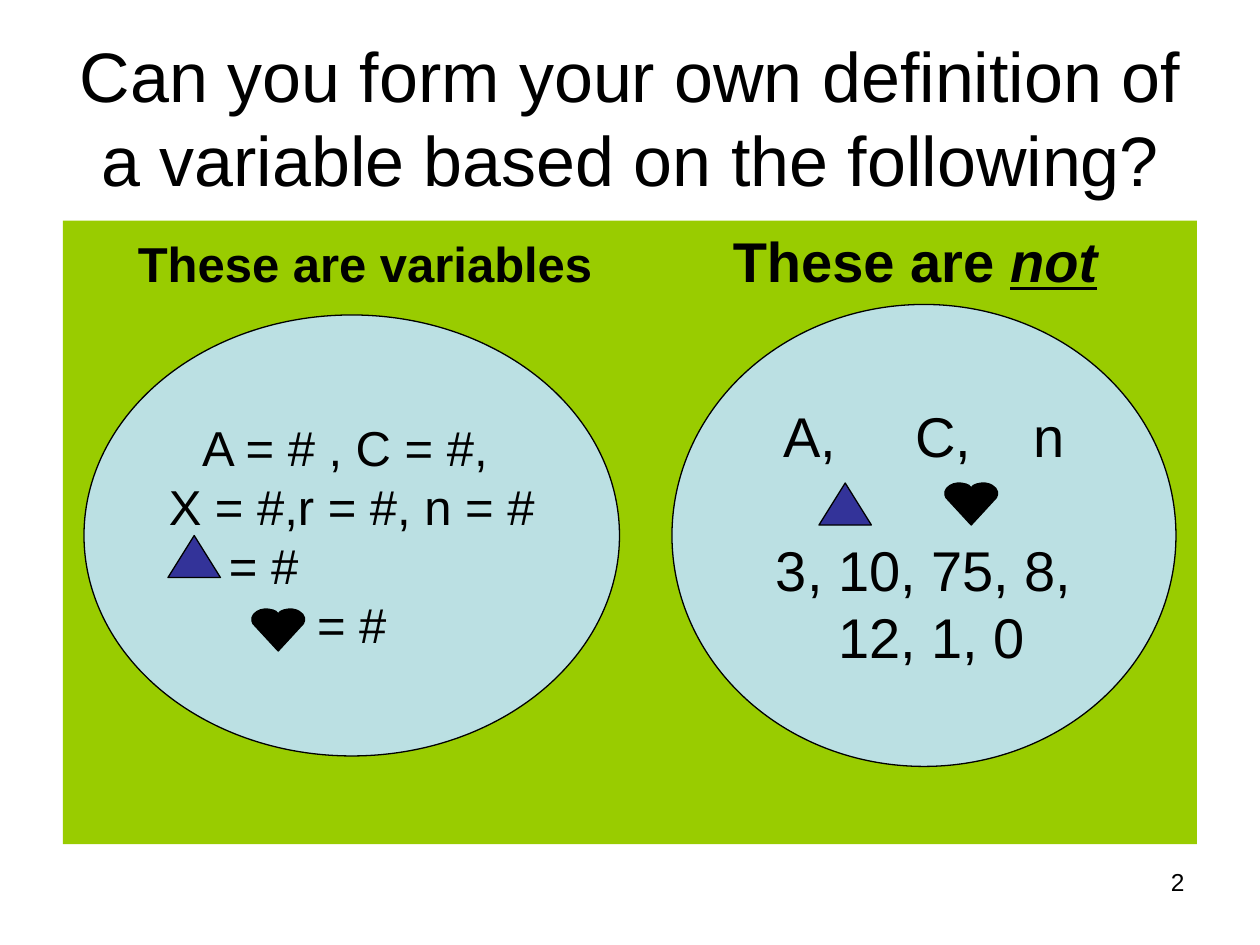
from lxml.etree import SubElement
from pptx import Presentation
from pptx.dml.color import RGBColor
from pptx.enum.shapes import MSO_SHAPE
from pptx.enum.text import MSO_ANCHOR, MSO_AUTO_SIZE, PP_ALIGN
from pptx.oxml.ns import qn
from pptx.util import Pt


def color(text):
    return RGBColor.from_string(text)


class Sheet:
    """Hold the style and the current slide, and add its elements."""

    font, ink, green, pale, blue = "Arial", "000000", "99CC00", "BBE0E3", "333399"

    def __init__(self, slide):
        self.slide = slide
        self.shapes = slide.shapes

    def paint(self, shape, fill, line=True):
        shape.shadow.inherit = False
        shape.fill.solid()
        shape.fill.fore_color.rgb = color(fill)
        if line:
            shape.line.color.rgb = color(self.ink)
            shape.line.width = Pt(0.75)
        else:
            shape.line.fill.background()

    def frame(self, shape, anchor, side=7.2):
        frame = shape.text_frame
        frame.word_wrap = True
        frame.auto_size = MSO_AUTO_SIZE.NONE
        frame.vertical_anchor = anchor
        frame.margin_left = frame.margin_right = Pt(side)
        frame.margin_top = frame.margin_bottom = Pt(3.6)
        return frame

    def format(self, para, size, align=PP_ALIGN.CENTER, tabs=()):
        para.alignment = align
        para.line_spacing = Pt(1.2 * size)
        if tabs:
            stops = SubElement(para._p.get_or_add_pPr(), qn("a:tabLst"))
            for stop in tabs:
                SubElement(stops, qn("a:tab"), pos=str(Pt(stop)), algn="l")
        for run in para.runs:
            self.style(run, size)

    def style(self, run, size, bold=False):
        run.font.name = self.font
        run.font.size = Pt(size)
        run.font.bold = bold
        run.font.color.rgb = color(self.ink)

    def title(self, text, x, y, w, h):
        shape = self.shapes.title
        shape.left, shape.top, shape.width, shape.height = map(Pt, (x, y, w, h))
        frame = self.frame(shape, MSO_ANCHOR.MIDDLE)
        frame.text = text
        self.format(frame.paragraphs[0], 40)

    def shape(self, kind, fill, x, y, w, h, line=True):
        shape = self.shapes.add_shape(kind, Pt(x), Pt(y), Pt(w), Pt(h))
        self.paint(shape, fill, line)
        return shape

    def panel(self, x, y, w, h):
        shape = self.shape(MSO_SHAPE.RECTANGLE, self.green, x, y, w, h, False)
        frame = self.frame(shape, MSO_ANCHOR.TOP)
        frame.margin_left = Pt(42.8)
        para = frame.paragraphs[0]
        heads = (("These are variables", 28), ("\tThese are ", 32), ("not", 32))
        for text, _ in heads:
            para.add_run().text = text
        self.format(para, 32, PP_ALIGN.LEFT, [340])
        for run, (_, size) in zip(para.runs, heads):
            self.style(run, size, True)
        run.font.italic = run.font.underline = True

    def oval(self, lines, size, x, y, w, h):
        shape = self.shape(MSO_SHAPE.OVAL, self.pale, x, y, w, h)
        frame = self.frame(shape, MSO_ANCHOR.MIDDLE, 0)
        frame.text = "\n".join(lines)
        for para in frame.paragraphs:
            self.format(para, size)
        return frame.paragraphs

    def marks(self, left, right):
        self.shape(MSO_SHAPE.ISOSCELES_TRIANGLE, self.blue, *left, 30, 24)
        self.heart(*right)

    def heart(self, x, y):
        half = [(15, 2.8), (13.8, 1.4), (12, 0.6), (9.6, 0.1), (7.2, 0), (4.8, 0.5),
                (2.9, 1.4), (1, 3), (0, 5), (0, 6.8), (0.6, 8.4), (15, 24)]
        outline = half + [(30 - a, b) for a, b in half[-2:0:-1]]
        points = [(Pt(x + a), Pt(y + b)) for a, b in outline]
        pen = self.shapes.build_freeform(*points[0])
        pen.add_line_segments(points[1:], close=True)
        self.paint(pen.convert_to_shape(), self.ink)

    def number(self, text, x, y, w, h):
        box = self.shapes.add_textbox(Pt(x), Pt(y), Pt(w), Pt(h))
        frame = self.frame(box, MSO_ANCHOR.TOP)
        frame.text = text
        self.format(frame.paragraphs[0], 14, PP_ALIGN.RIGHT)


def main():
    deck = Presentation()
    deck.slide_width, deck.slide_height = Pt(720), Pt(540)
    sheet = Sheet(deck.slides.add_slide(deck.slide_layouts[5]))
    sheet.title("Can you form your own definition of a variable based on the following?",
                36, 21.6, 648, 90)
    sheet.panel(36, 126, 648, 356.4)

    lines = ["A = # , C = #, ", "X = #,r = #, n = #", "= #", "= #"]
    paras = sheet.oval(lines, 28, 48, 180, 306, 252)
    paras[2].alignment = PP_ALIGN.LEFT
    paras[2]._p.get_or_add_pPr().set("marL", str(Pt(38)))

    lines = ["\tA,\tC,\tn", "3, 10, 75, 8,", " 12, 1, 0"]
    paras = sheet.oval(lines, 32, 384, 174, 288, 264)
    sheet.format(paras[0], 32, PP_ALIGN.LEFT, [21.4, 96.9, 164.3])
    paras[1].space_before = Pt(38.4)

    sheet.marks((96, 306), (144, 348))
    sheet.marks((468, 276), (540, 276))
    sheet.number("2", 516, 492, 168, 37.5)
    deck.save("out.pptx")


if __name__ == "__main__":
    main()
